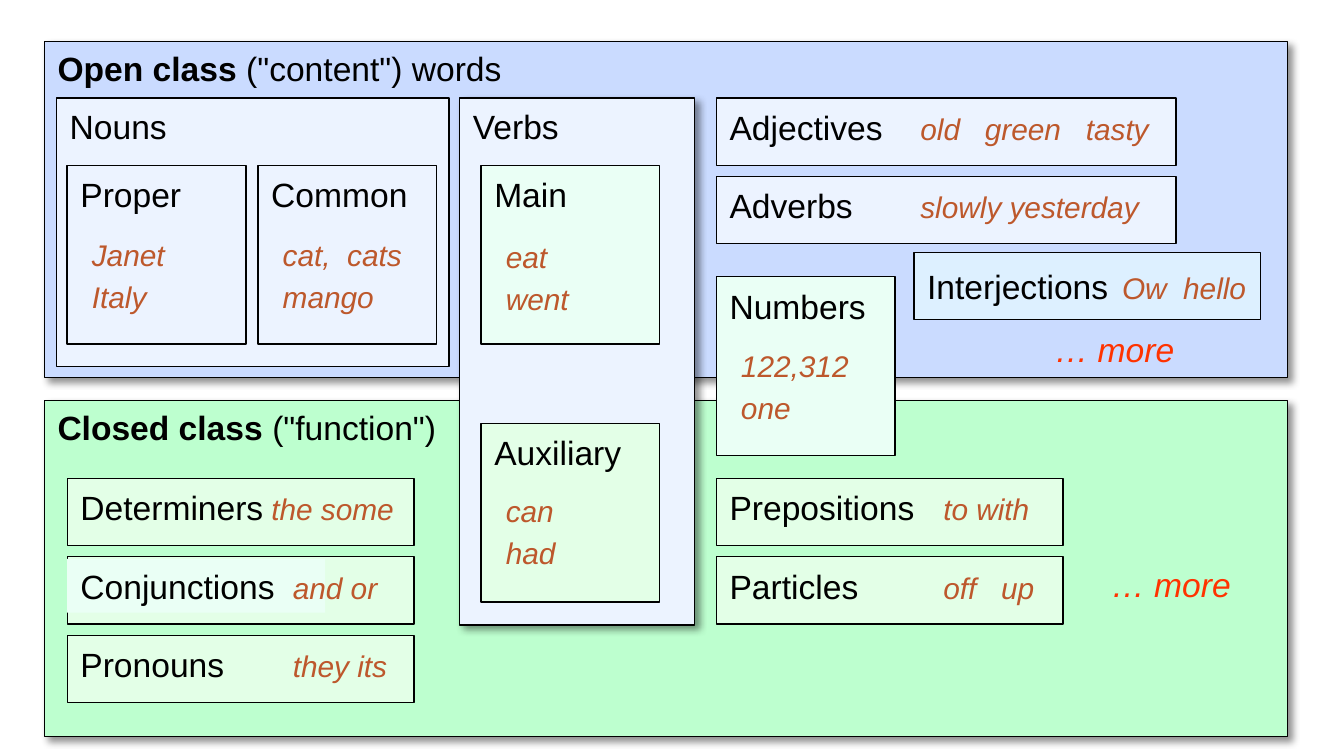
import pptx
import pptx.util
import pptx.dml.color
import pptx.enum.shapes
import pptx.enum.text
import pptx.oxml
import pptx.oxml.ns
from pptx.util import Inches

BLACK, EXAMPLE, MORE = "000000", "BD582C", "FF3300"
BLUE, PALE_BLUE, SKY = "CADBFF", "ECF3FF", "DDF0FF"
GREEN, PALE_GREEN, MINT = "BDFFCF", "E3FFE7", "EAFFF5"
SLIDE_WIDTH = 10
SQUARE = 1.33
ROW_HEIGHT = 0.5
ROW_STEP = 7 / 12


def color(value):
    return pptx.dml.color.RGBColor.from_string(value)


def add_shadow(shape):
    """Give the shape a soft shadow towards the lower right."""
    namespace = pptx.oxml.ns.nsdecls("a")
    effects = pptx.oxml.parse_xml(
        f'<a:effectLst {namespace}><a:outerShdw blurRad="50800" dist="38100" '
        'dir="2700000" algn="tl" rotWithShape="0"><a:srgbClr val="000000">'
        '<a:alpha val="43000"/></a:srgbClr></a:outerShdw></a:effectLst>')
    properties = shape._element.spPr
    properties.replace(properties.find(pptx.oxml.ns.qn("a:effectLst")), effects)


def add_box(slide, left, top, width, height, fill=None, shadow=False):
    shape = slide.shapes.add_shape(
        pptx.enum.shapes.MSO_SHAPE.RECTANGLE,
        Inches(left), Inches(top), Inches(width), Inches(height))
    shape.shadow.inherit = False
    if fill:
        shape.fill.solid()
        shape.fill.fore_color.rgb = color(fill)
    else:
        shape.fill.background()
    shape.line.color.rgb = color(BLACK)
    shape.line.width = pptx.util.Pt(0.75)
    if shadow:
        add_shadow(shape)
    return shape


def add_run(paragraph, text, size=18, ink=BLACK, bold=False, italic=False):
    run = paragraph.add_run()
    run.text = text
    font = run.font
    font.name, font.size = "Arial", pptx.util.Pt(size)
    font.bold, font.italic = bold, italic
    font.color.rgb = color(ink)


def add_text(slide, left, top, width, height=0.4):
    """Add an empty text box that grows with its text."""
    shape = slide.shapes.add_textbox(
        Inches(left), Inches(top), Inches(width), Inches(height))
    shape.text_frame.word_wrap = True
    shape.text_frame.auto_size = pptx.enum.text.MSO_AUTO_SIZE.SHAPE_TO_FIT_TEXT
    return shape


def add_label(slide, text, left, top, width, ink=BLACK, italic=False):
    shape = add_text(slide, left, top, width)
    add_run(shape.text_frame.paragraphs[0], text, ink=ink, italic=italic)
    return shape


def add_heading(slide, bold_text, text, top, width):
    paragraph = add_text(slide, 0.33, top, width).text_frame.paragraphs[0]
    add_run(paragraph, bold_text, bold=True)
    add_run(paragraph, text)


def add_examples(slide, lines, left, top, width=1.25):
    height = 0.37 if len(lines) == 1 else 0.69
    frame = add_text(slide, left, top, width, height).text_frame
    for index, line in enumerate(lines):
        paragraph = frame.add_paragraph() if index else frame.paragraphs[0]
        paragraph.space_before = pptx.util.Pt(3.2 if index else 0)
        add_run(paragraph, line, 16, EXAMPLE, italic=True)


def add_square(slide, name, left, top, fill, lines, label_width, examples_top):
    """Add a square card with a label above two example lines."""
    add_box(slide, left, top, SQUARE, SQUARE, fill)
    add_label(slide, name, left, top + 0.015, label_width)
    add_examples(slide, lines, left + 0.085, examples_top)


def add_row(slide, name, left, top, width, fill, example, example_left,
            example_width=1.25, label_fill=None):
    """Add a low card with a label and its examples side by side."""
    add_box(slide, left, top, width, ROW_HEIGHT, fill)
    label = add_label(slide, name, left, top + 0.015, 1.92)
    if label_fill:
        label.fill.solid()
        label.fill.fore_color.rgb = color(label_fill)
    add_examples(slide, [example], example_left, top + 0.045, example_width)


def main():
    presentation = pptx.Presentation()
    presentation.slide_width = Inches(SLIDE_WIDTH)
    presentation.slide_height = Inches(SLIDE_WIDTH * 9 / 16)
    slide = presentation.slides.add_slide(presentation.slide_layouts[6])

    # Open and closed class panels
    add_box(slide, 0.33, 2.98, 9.25, 2.5, GREEN, shadow=True)
    add_box(slide, 0.33, 0.31, 9.25, 2.5, BLUE, shadow=True)
    add_heading(slide, "Open class ", "(\"content\") words", 0.31, 3.58)
    add_heading(slide, "Closed class ", "(\"function\")", 2.98, 4)

    # Groups for nouns and verbs
    add_box(slide, 0.42, 0.73, 2.92, 2, PALE_BLUE)
    add_label(slide, "Nouns", 0.42, 0.74, 1.58)
    add_box(slide, 3.42, 0.73, 1.75, 3.92, PALE_BLUE, shadow=True)
    add_label(slide, "Verbs", 3.42, 0.74, 1.92)

    # Square cards
    for card in [
        ("Proper", 0.5, 1.23, None, ["Janet", "Italy"], 1.17, 1.71),
        ("Common", 1.92, 1.23, None, ["cat,  cats", "mango"], 1.5, 1.71),
        ("Auxiliary", 3.58, 3.15, PALE_GREEN, ["can", "had"], 1.17, 3.62),
        ("Main", 3.58, 1.23, MINT, ["eat", "went"], 1.17, 1.73),
        ("Numbers", 5.33, 2.06, MINT, ["122,312", "one"], 1.25, 2.54),
    ]:
        add_square(slide, *card)

    # Rows of the open class
    for step, (name, example, example_width) in enumerate([
        ("Adjectives", "old   green   tasty", 2.17),
        ("Adverbs", "slowly yesterday", 2),
    ]):
        add_row(slide, name, 5.33, 0.73 + ROW_STEP * step, 3.42, PALE_BLUE,
                example, 6.75, example_width)

    # Rows of the closed class
    for name, left, step, example, example_left, label_fill in [
        ("Prepositions", 5.33, 0, "to with", 6.92, None),
        ("Particles", 5.33, 1, "off   up", 6.92, None),
        ("Determiners", 0.5, 0, "the some", 1.92, None),
        ("Conjunctions", 0.5, 1, "and or", 2.08, MINT),
        ("Pronouns", 0.5, 2, "they its", 2.08, None),
    ]:
        add_row(slide, name, left, 3.56 + ROW_STEP * step, 2.58, PALE_GREEN,
                example, example_left, label_fill=label_fill)

    # Interjections, with the label inside the box
    interjections = add_box(slide, 6.8, 1.88, 2.58, ROW_HEIGHT, SKY)
    frame = interjections.text_frame
    frame.vertical_anchor = pptx.enum.text.MSO_ANCHOR.MIDDLE
    frame.paragraphs[0].alignment = pptx.enum.text.PP_ALIGN.LEFT
    add_run(frame.paragraphs[0], "Interjections")
    add_examples(slide, ["Ow  hello"], 8.25, 1.96)

    # Open ends
    add_label(slide, "… more", 7.75, 2.4, 1.58, MORE, italic=True)
    add_label(slide, "… more", 8.17, 4.15, 1.25, MORE, italic=True)

    presentation.save("out.pptx")


if __name__ == "__main__":
    main()
